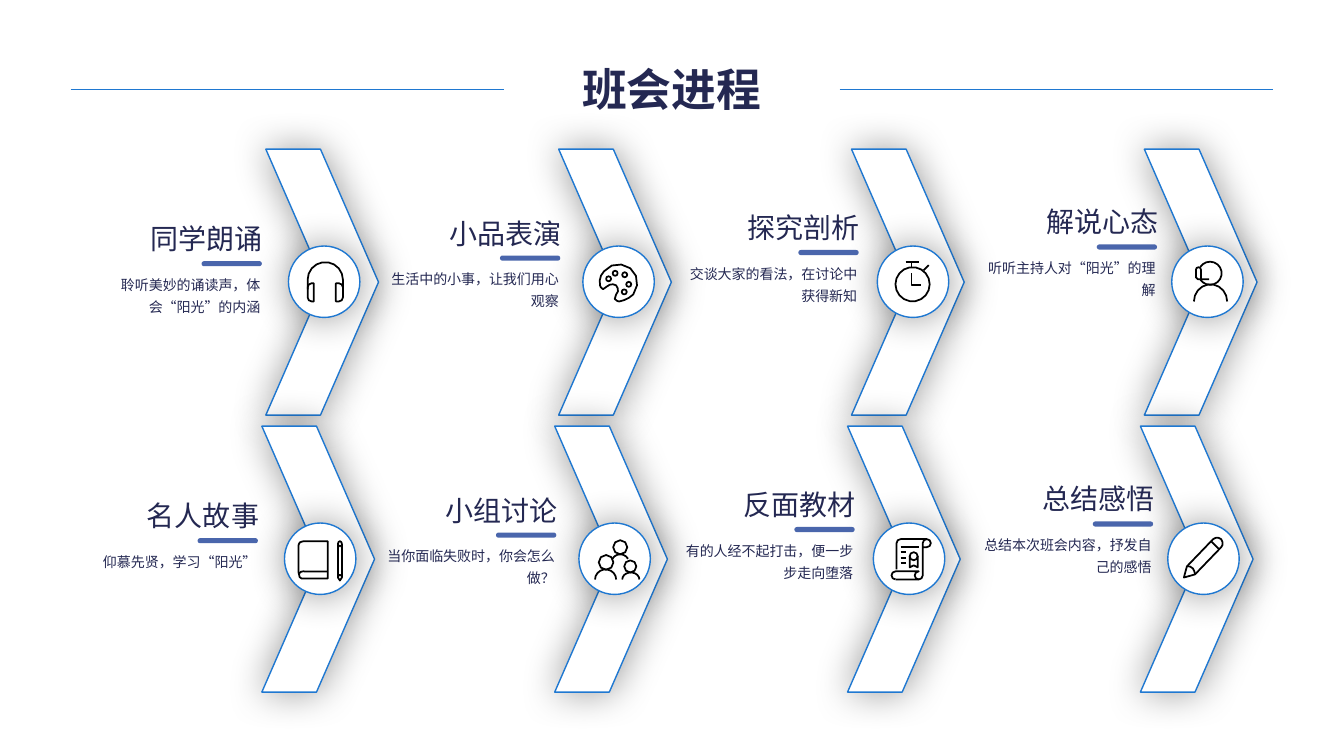
from dataclasses import dataclass
from math import cos, radians, sin

from lxml import etree
from pptx import Presentation
from pptx.dml.color import RGBColor
from pptx.enum.lang import MSO_LANGUAGE_ID
from pptx.enum.shapes import MSO_CONNECTOR, MSO_SHAPE
from pptx.enum.text import MSO_ANCHOR, MSO_AUTO_SIZE, PP_ALIGN
from pptx.oxml.ns import qn
from pptx.util import Cm, Pt

CHEVRON, ELLIPSE, ROUNDED = MSO_SHAPE.CHEVRON, MSO_SHAPE.OVAL, MSO_SHAPE.ROUNDED_RECTANGLE
STRAIGHT = MSO_CONNECTOR.STRAIGHT
CENTER, RIGHT = PP_ALIGN.CENTER, PP_ALIGN.RIGHT
TOP, MIDDLE = MSO_ANCHOR.TOP, MSO_ANCHOR.MIDDLE
GROW = MSO_AUTO_SIZE.SHAPE_TO_FIT_TEXT
CHINESE = MSO_LANGUAGE_ID.SIMPLIFIED_CHINESE

FONT = "Noto Sans CJK SC"
WHITE, BLACK, NAVY, BLUE, BAR_BLUE = "FFFFFF", "000000", "242852", "1F78D1", "4A66AC"
COLUMNS = 4
ROW_SHIFT = (-0.1, 6.98)
ICON_UNIT = 0.0254
ICON_PRECISION = 100
CURVE_STEPS = 3
SMALL_RADIUS = 8

Point = tuple[float, float]
Stroke = list[Point]


@dataclass(frozen=True)
class Box:
    left: float
    top: float
    width: float
    height: float
    column_step: float = 0
    column_rise: float = 0

    def at(self, column: int, row: int) -> "Box":
        return Box(
            self.left + column * self.column_step + row * ROW_SHIFT[0],
            self.top - column * self.column_rise + row * ROW_SHIFT[1],
            self.width,
            self.height,
        )

    def lengths(self) -> tuple:
        return Cm(self.left), Cm(self.top), Cm(self.width), Cm(self.height)


@dataclass(frozen=True)
class Step:
    heading: str
    detail: str
    icon: list[Stroke]


CHEVRON_BOX = Box(6.7, 3.76, 2.84, 6.7, 7.38)
CIRCLE_BOX = Box(7.27, 6.2, 1.8, 1.8, 7.42)
HEADING_BOX = Box(1.04, 5.46, 5.84, 1.12, 7.52, 0.14)
DETAIL_BOX = Box(1.78, 6.71, 5.03, 1.32, 7.52, 0.14)
BAR_BOX = Box(5.08, 6.58, 1.52, 0.13, 7.52, 0.14)


def arc(x: float, y: float, rx: float, ry: float, start: float, end: float) -> Stroke:
    degrees = 45 if rx < SMALL_RADIUS else 20
    steps = max(2, round(abs(end - start) / degrees))
    angles = [radians(start + (end - start) * i / steps) for i in range(steps + 1)]
    return [(x + rx * cos(angle), y + ry * sin(angle)) for angle in angles]


def ring(x: float, y: float, radius: float) -> Stroke:
    return arc(x, y, radius, radius, 0, 360)[:-1] + [(x + radius, y)]


def curve(*points: Point) -> Stroke:
    stroke = [points[0]]
    for i in range(0, len(points) - 1, 3):
        a, b, c, d = points[i:i + 4]
        for t in (j / CURVE_STEPS for j in range(1, CURVE_STEPS + 1)):
            weights = ((1 - t) ** 3, 3 * t * (1 - t) ** 2, 3 * t * t * (1 - t), t ** 3)
            stroke.append(tuple(sum(w * p[k] for w, p in zip(weights, (a, b, c, d))) for k in (0, 1)))
    return stroke


HEADPHONES = [
    [(19, 43)] + arc(36.5, 33.5, 17.5, 17.5, 180, 360) + [(54, 44)],
    [(25, 37), (25, 55)] + arc(23, 51, 4, 4, 90, 180) + arc(23, 41, 4, 4, 180, 270) + [(25, 37)],
    [(47, 37), (47, 55)] + arc(50, 51, 4, 4, 90, 0) + arc(50, 41, 4, 4, 0, -90) + [(47, 37)],
]
PALETTE = [
    curve((33, 48), (36, 45), (35, 42), (33, 39), (30, 37), (26, 38), (24, 40), (19, 47),
          (17, 39), (17, 39), (16, 34), (17, 29), (21, 25), (27, 17), (39, 16), (47, 22),
          (55, 28), (56, 40), (50, 48), (46, 52), (41, 54), (36, 55), (36, 55), (28, 54), (33, 48)),
    *(ring(x, y, 2.5) for x, y in ((41.5, 28.5), (45.5, 38), (32, 27), (25.5, 32.5), (41, 45.5))),
]
STOPWATCH = [
    ring(35, 38, 17),
    [(34, 27), (34, 39), (43, 39)],
    [(28, 16), (41, 16)],
    [(34, 21), (34, 16)],
    [(46, 24), (51, 19)],
]
HOST = [
    arc(38.5, 55, 16.5, 17, 180, 360),
    arc(38, 27, 11.5, 11.5, 148, -148),
    [(29, 33)] + arc(26.5, 23.5, 2.5, 2.5, 0, -180) + [(24, 31), (26, 33), (37, 33)],
]
BOOK = [
    [(43, 18), (43, 55)] + curve((18, 55), (18, 55), (14, 56), (14, 49))
    + curve((14, 22), (14, 22), (14, 18), (19, 18)) + [(43, 18)],
    [(43, 48)] + curve((20, 48), (20, 48), (15, 47), (14, 51)),
    [(55, 57), (53, 54)] + arc(55, 21, 2, 3, 180, 360) + [(57, 54), (55, 57)],
    curve((57, 24), (56, 22), (54, 22), (53, 24)),
    curve((57, 53), (56, 51), (54, 51), (53, 53)),
]
GROUP = [
    ring(27, 39, 7.3),
    ring(41, 24, 7),
    ring(51, 43, 6),
    arc(26.5, 56, 10.5, 10, 180, 360),
    arc(51.5, 56, 8.5, 7, 180, 360),
    arc(41, 40, 9, 9, -30, -150),
]
SCROLL = [
    arc(22, 52, 4, 4, 90, 270) + [(45, 48)] + arc(45, 52, 4, 4, 270, 90),
    [(22, 56)] + arc(45, 52, 4, 4, 90, 0) + arc(53, 20, 4, 4, 180, 450) + [(49, 24)],
    [(53, 16)] + arc(27, 20, 4, 4, 270, 180) + [(23, 46)],
    [(27, 24), (45, 24)],
    *([(27, y), (32, y)] for y in (29, 35, 40)),
    [(36, 33), (36, 44), (40, 42), (44, 44), (44, 33)],
    ring(40, 33, 4),
]
PENCIL = [
    [(27, 51), (16, 54), (19, 43)]
    + curve((45, 16), (47, 14), (51, 14), (53, 16), (55, 19), (55, 22), (53, 24)) + [(27, 51)],
    [(43, 18), (51, 26)],
    curve((27, 51), (27, 51), (27, 48), (25, 45), (22, 42), (19, 43), (19, 43)),
]
STEPS = [
    Step("同学朗诵", "聆听美妙的诵读声，体会“阳光”的内涵", HEADPHONES),
    Step("小品表演", "生活中的小事，让我们用心观察", PALETTE),
    Step("探究剖析", "交谈大家的看法，在讨论中获得新知", STOPWATCH),
    Step("解说心态", "听听主持人对“阳光”的理解", HOST),
    Step("名人故事", "仰慕先贤，学习“阳光”", BOOK),
    Step("小组讨论", "当你面临失败时，你会怎么做？", GROUP),
    Step("反面教材", "有的人经不起打击，便一步步走向堕落", SCROLL),
    Step("总结感悟", "总结本次班会内容，抒发自己的感悟", PENCIL),
]


def color(value: str) -> RGBColor:
    return RGBColor.from_string(value)


def apply(target, values: dict) -> None:
    for name, value in values.items():
        setattr(target, name, value)


def write(shape, text: str, size: float, align, anchor=TOP, bold: bool = False, spacing: float = 1) -> None:
    apply(shape.text_frame, {"word_wrap": True, "auto_size": GROW, "vertical_anchor": anchor})
    paragraph = shape.text_frame.paragraphs[0]
    apply(paragraph, {"alignment": align, "line_spacing": spacing})
    run = paragraph.add_run()
    run.text = text
    apply(run.font, {"name": FONT, "size": Pt(size), "bold": bold, "language_id": CHINESE})
    run.font.color.rgb = color(NAVY)
    latin = run.font._element.find(qn("a:latin"))
    latin.addnext(latin.makeelement(qn("a:ea"), {"typeface": FONT}))


def add_preset(slide, kind, box: Box, fill: str, adjustment: float | None = None, outlined: bool = True) -> None:
    shape = slide.shapes.add_shape(kind, *box.lengths())
    shape.shadow.inherit = False
    shape.fill.solid()
    shape.fill.fore_color.rgb = color(fill)
    if adjustment is not None:
        shape.adjustments[0] = adjustment
    if not outlined:
        shape.line.fill.background()
        return
    shape.line.color.rgb = color(BLUE)
    shape.line.width = Pt(1)
    effects = shape._element.spPr.find(qn("a:effectLst"))
    shadow = etree.SubElement(effects, qn("a:outerShdw"), blurRad=str(Pt(28)), algn="ctr", rotWithShape="0")
    tone = etree.SubElement(shadow, qn("a:srgbClr"), val=BLACK)
    etree.SubElement(tone, qn("a:alpha"), val="40000")


def add_icon(slide, box: Box, strokes: list[Stroke]) -> None:
    scaled = [[(x * ICON_PRECISION, y * ICON_PRECISION) for x, y in stroke] for stroke in strokes]
    builder = slide.shapes.build_freeform(*scaled[0][0], scale=Cm(ICON_UNIT) / ICON_PRECISION)
    for i, stroke in enumerate(scaled):
        if i:
            builder.move_to(*stroke[0])
        builder.add_line_segments(stroke[1:], close=stroke[0] == stroke[-1])
    shape = builder.convert_to_shape(Cm(box.left), Cm(box.top))
    shape.shadow.inherit = False
    shape.fill.background()
    shape.line.color.rgb = color(BLACK)
    shape.line.width = Pt(1.25)


def add_rule(slide, start: float, end: float, y: float) -> None:
    rule = slide.shapes.add_connector(STRAIGHT, Cm(start), Cm(y), Cm(end), Cm(y))
    rule.line.color.rgb = color(BLUE)
    rule.line.width = Pt(0.5)
    etree.SubElement(rule._element.spPr, qn("a:effectLst"))


def main() -> None:
    presentation = Presentation()
    apply(presentation, {"slide_width": Cm(33.87), "slide_height": Cm(19.05)})
    slide = presentation.slides.add_slide(presentation.slide_layouts[5])
    title = slide.shapes.title
    apply(title, dict(zip(("left", "top", "width", "height"), Box(12.7, 1.42, 8.46, 1.63).lengths())))
    write(title, "班会进程", 32, CENTER, MIDDLE, bold=True)
    for start, end in ((1.78, 12.7), (21.16, 32.08)):
        add_rule(slide, start, end, 2.24)
    for i, step in enumerate(STEPS):
        row, column = divmod(i, COLUMNS)
        circle = CIRCLE_BOX.at(column, row)
        add_preset(slide, CHEVRON, CHEVRON_BOX.at(column, row), WHITE, 0.515)
        add_preset(slide, ELLIPSE, circle, WHITE)
        for box, text, size, spacing in ((HEADING_BOX, step.heading, 20, 1), (DETAIL_BOX, step.detail, 10, 1.3)):
            textbox = slide.shapes.add_textbox(*box.at(column, row).lengths())
            write(textbox, text, size, RIGHT, spacing=spacing)
        add_preset(slide, ROUNDED, BAR_BOX.at(column, row), BAR_BLUE, 0.5, outlined=False)
        add_icon(slide, circle, step.icon)
    presentation.save("out.pptx")


if __name__ == "__main__":
    main()
